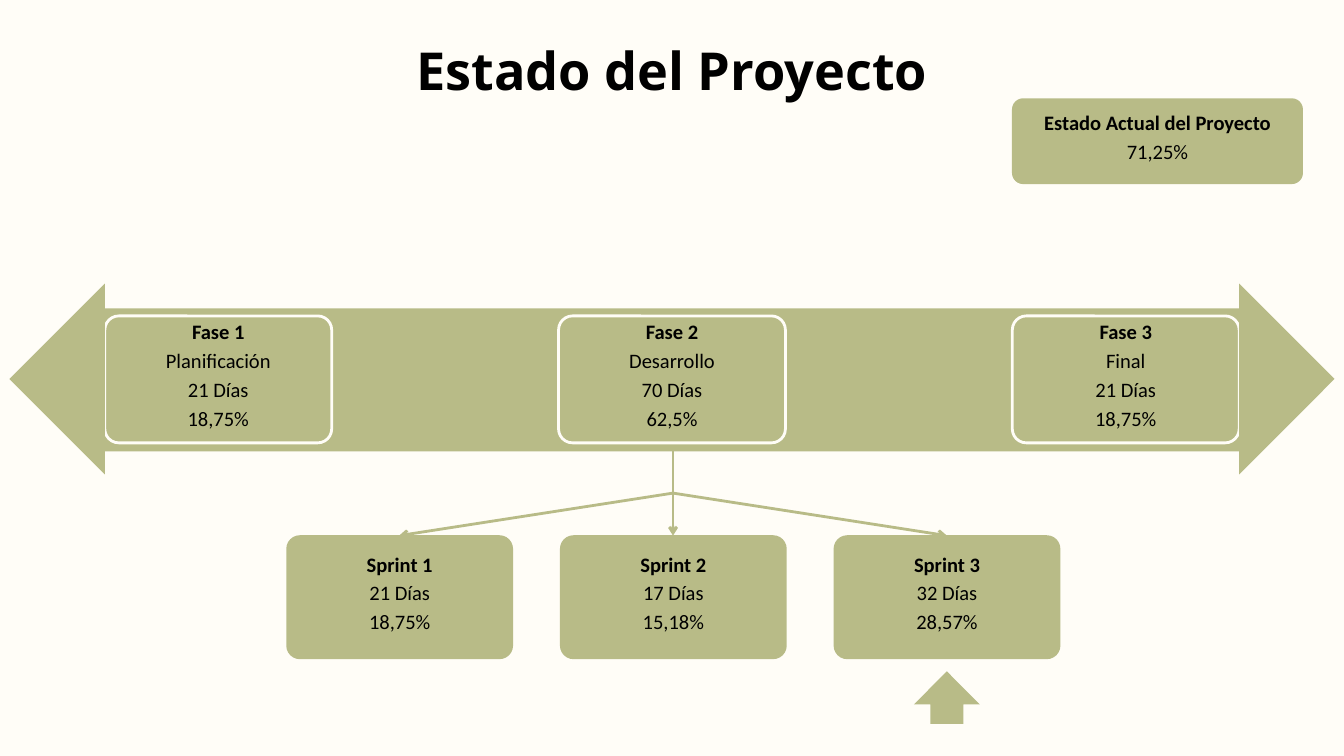
from typing import NamedTuple

from lxml import etree
from pptx import Presentation
from pptx import util as u
from pptx.dml.color import RGBColor
from pptx.enum import shapes, text
from pptx.oxml import ns

OLIVE = RGBColor(0xB8, 0xBB, 0x87)
CREAM = RGBColor(0xFF, 0xFD, 0xF7)
BLACK = RGBColor(0, 0, 0)

WIDTH, HEIGHT = u.Inches(20), u.Inches(11.25)
TEXT_RISE = 1.78  # card text starts above its card, in % of slide height

PHASES = [
    ["Fase 1", "Planificación", "21 Días", "18,75%"],
    ["Fase 2", "Desarrollo", "70 Días", "62,5%"],
    ["Fase 3", "Final", "21 Días", "18,75%"],
]
SPRINTS = [
    ["Sprint 1", "21 Días", "18,75%"],
    ["Sprint 2", "17 Días", "15,18%"],
    ["Sprint 3", "32 Días", "28,57%"],
]


class Box(NamedTuple):
    """Left, top, width and height as percentages of the slide."""
    x: float
    y: float
    w: float
    h: float

    def inner(self, x, y, w, h):
        return Box(self.x + x * self.w, self.y + y * self.h, w * self.w, h * self.h)

    def emu(self):
        return [round(v * side / 100) for v, side in zip(self, (WIDTH, HEIGHT) * 2)]


def add_filled(slide, kind, box, adjustments, outline=None):
    sp = slide.shapes.add_shape(kind, *box.emu())
    sp.shadow.inherit = False
    sp.fill.solid()
    sp.fill.fore_color.rgb = OLIVE
    if outline is None:
        sp.line.fill.background()
    else:
        sp.line.color.rgb = outline
        sp.line.width = u.Pt(3)
    for i, value in enumerate(adjustments):
        sp.adjustments[i] = value


def add_text(slide, box, lines, font, size, spacing, inset=0.0):
    tf = slide.shapes.add_textbox(*box.emu()).text_frame
    tf.word_wrap = True
    tf.margin_left = tf.margin_right = tf.margin_top = tf.margin_bottom = u.Inches(inset)
    tf.text = "\n".join(lines)
    for i, p in enumerate(tf.paragraphs):
        p.alignment = text.PP_ALIGN.CENTER
        p.line_spacing = u.Pt(spacing)
        for r in p.runs:
            r.font.name = font
            r.font.size = u.Pt(size)
            r.font.bold = i == 0
            r.font.color.rgb = BLACK
    return tf


def add_card(slide, box, lines, radius=0.11, outline=None):
    add_filled(slide, shapes.MSO_SHAPE.ROUNDED_RECTANGLE, box, [radius], outline)
    area = Box(box.x, box.y - TEXT_RISE, box.w, box.h + TEXT_RISE)
    tf = add_text(slide, area, lines, "Calibri", 22, 30.8, 0.06)
    tf.vertical_anchor = text.MSO_ANCHOR.MIDDLE


def add_title(slide, box):
    add_text(slide, box, ["Estado del Proyecto"], "Open Sans", 56, 78.4)


def add_timeline(slide, box):
    head = 0.072
    # Bar
    bar = box.inner(0.06, 0.13, 0.88, 0.75)
    add_filled(slide, shapes.MSO_SHAPE.ROUNDED_RECTANGLE, bar, [0.02])
    # Phases, each one fifth of the row, with equal gaps
    row = box.inner(head, 0.17, 1 - 2 * head, 0.665)
    for i, lines in enumerate(PHASES):
        add_card(slide, row.inner(0.4 * i, 0, 0.2, 1), lines, outline=CREAM)
    # Arrowheads at both ends
    for kind, x in ((shapes.MSO_SHAPE.RIGHT_ARROW, 1 - head),
                    (shapes.MSO_SHAPE.LEFT_ARROW, 0)):
        add_filled(slide, kind, box.inner(x, 0, head, 1), [0.5, 1])


def add_sprints(slide, box):
    card = 0.293
    for i, lines in enumerate(SPRINTS):
        add_card(slide, box.inner(i * (1 - card) / 2, 0, card, 1), lines)


def add_branches(slide, box):
    # The stem runs the full height; the side branches leave it halfway down
    for start_y, end_x in ((0, 0.5), (0.5, 1), (0.5, 0)):
        x1, y1, _, _ = box.inner(0.5, start_y, 0, 0).emu()
        x2, y2, _, _ = box.inner(end_x, 1, 0, 0).emu()
        branch = slide.shapes.add_connector(shapes.MSO_CONNECTOR.STRAIGHT, x1, y1, x2, y2)
        branch.line.color.rgb = OLIVE
        branch.line.width = u.Pt(3)
        sp_pr = branch._element.spPr
        etree.SubElement(sp_pr.find(ns.qn("a:ln")), ns.qn("a:tailEnd"), type="arrow")
        etree.SubElement(sp_pr, ns.qn("a:effectLst"))


def main():
    prs = Presentation()
    prs.slide_width, prs.slide_height = WIDTH, HEIGHT
    s = prs.slides.add_slide(prs.slide_layouts[6])
    s.background.fill.solid()
    s.background.fill.fore_color.rgb = CREAM

    add_timeline(s, Box(0.7, 37.5, 98.6, 25.25))
    add_sprints(s, Box(21.3, 70.8, 57.6, 16.4))
    add_branches(s, Box(29.7, 59.6, 40.75, 11.25))
    # Marker under the current sprint
    add_filled(s, shapes.MSO_SHAPE.UP_ARROW, Box(68, 88.8, 4.9, 6.95), [0.5, 0.63])
    add_title(s, Box(30.9, 3.65, 38.2, 9.35))
    # Overall status
    add_card(s, Box(75.3, 13, 21.65, 11.35),
             ["Estado Actual del Proyecto", "71,25%"], radius=0.13)

    prs.save("out.pptx")


if __name__ == "__main__":
    main()
